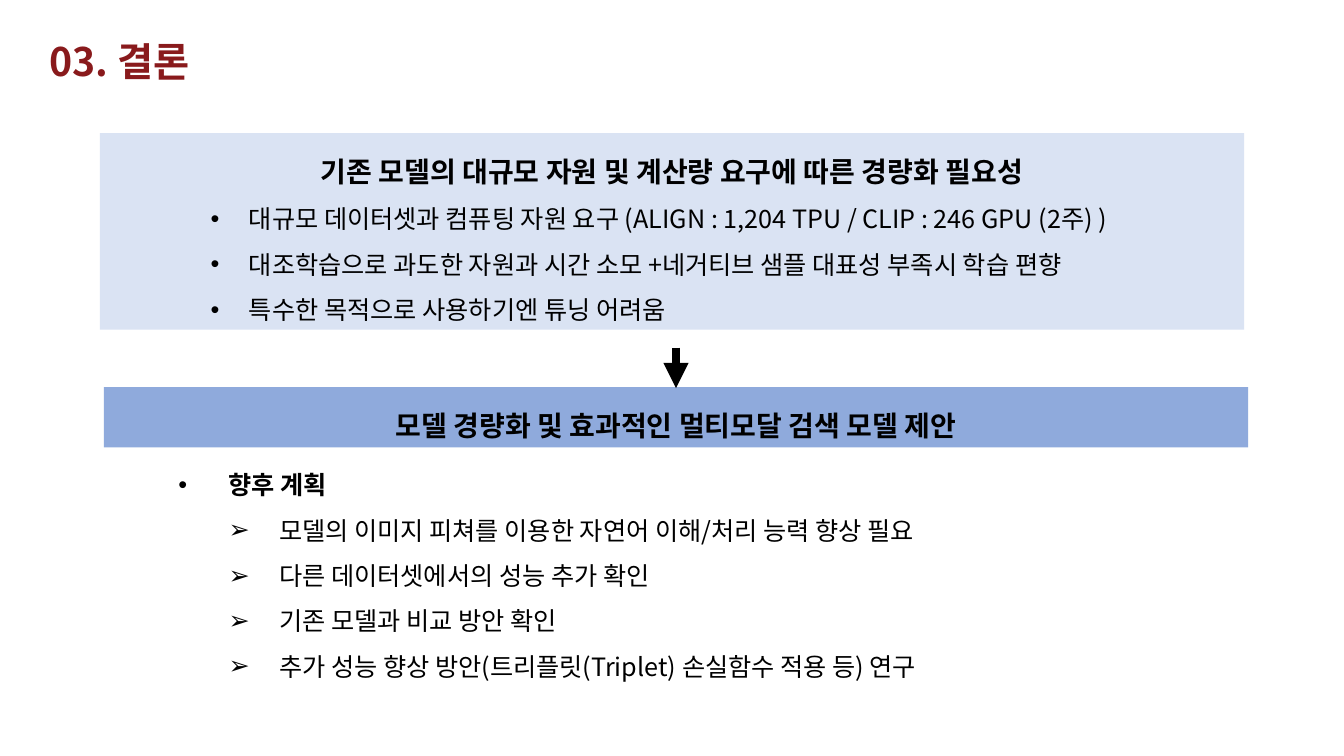
from lxml.etree import SubElement
from pptx import Presentation
from pptx.dml.color import RGBColor
from pptx.enum.shapes import MSO_CONNECTOR, MSO_SHAPE
from pptx.enum.text import MSO_ANCHOR, MSO_AUTO_SIZE, PP_ALIGN
from pptx.oxml.ns import qn
from pptx.util import Inches, Pt

FONT = "Noto Sans CJK KR"
COLORS = {"title": "891A1C", "text": "000000", "need": "DAE3F3", "proposal": "8FAADC"}

TITLE = "03. 결론"
NEED = "기존 모델의 대규모 자원 및 계산량 요구에 따른 경량화 필요성"
NEED_POINTS = [
    "대규모 데이터셋과 컴퓨팅 자원 요구 (ALIGN : 1,204 TPU / CLIP : 246 GPU (2주) )",
    "대조학습으로 과도한 자원과 시간 소모 +네거티브 샘플 대표성 부족시 학습 편향",
    "특수한 목적으로 사용하기엔 튜닝 어려움",
]
PROPOSAL = "모델 경량화 및 효과적인 멀티모달 검색 모델 제안"
PLAN = "향후 계획"
PLAN_POINTS = [
    "모델의 이미지 피쳐를 이용한 자연어 이해/처리 능력 향상 필요",
    "다른 데이터셋에서의 성능 추가 확인",
    "기존 모델과 비교 방안 확인",
    "추가 성능 향상 방안(트리플릿(Triplet) 손실함수 적용 등) 연구",
]

WIDTH, HEIGHT = 13.33, 7.5
BAND_WIDTH = 11.35
NEED_LEFT = (WIDTH - BAND_WIDTH) / 2
PROPOSAL_LEFT = NEED_LEFT + 0.04
PROPOSAL_TOP = 3.84
ARROW_X = PROPOSAL_LEFT + BAND_WIDTH / 2
ARROW_LENGTH = 0.4

prs = Presentation()
prs.slide_width, prs.slide_height = Inches(WIDTH), Inches(HEIGHT)
slide = prs.slides.add_slide(prs.slide_layouts[6])


def rgb(key):
    return RGBColor.from_string(COLORS[key])


def inches(*lengths):
    return [Inches(length) for length in lengths]


def set_up(frame):
    frame.word_wrap = True
    frame.auto_size = MSO_AUTO_SIZE.SHAPE_TO_FIT_TEXT
    frame.vertical_anchor = MSO_ANCHOR.TOP
    return frame


def add_text_box(*box):
    return set_up(slide.shapes.add_textbox(*inches(*box)).text_frame)


def add_band(fill, *box):
    band = slide.shapes.add_shape(MSO_SHAPE.RECTANGLE, *inches(*box))
    band.shadow.inherit = False
    band.fill.solid()
    band.fill.fore_color.rgb = rgb(fill)
    band.line.fill.background()
    return set_up(band.text_frame)


def write(frame, text, size=18, bold=False, color="text", align=PP_ALIGN.LEFT,
          spacing=1.5, bullet=None, level=0, margin=0, hanging=0):
    """Fill the empty first paragraph, or add one after the last."""
    first = frame.paragraphs[0]
    paragraph = frame.add_paragraph() if first.runs else first
    paragraph.alignment = align
    paragraph.line_spacing = spacing
    paragraph.level = level
    if bullet:
        properties = paragraph._p.get_or_add_pPr()
        properties.set("marL", str(Inches(margin)))
        properties.set("indent", str(-Inches(hanging)))
        SubElement(properties, qn("a:buFont")).set("typeface", "Arial")
        SubElement(properties, qn("a:buChar")).set("char", bullet)
    run = paragraph.add_run()
    run.text = text
    run.font.size = Pt(size)
    run.font.bold = bold
    run.font.color.rgb = rgb(color)
    run.font.name = FONT
    SubElement(run._r.get_or_add_rPr(), qn("a:ea")).set("typeface", FONT)


def add_down_arrow(x, top, length):
    arrow = slide.shapes.add_connector(
        MSO_CONNECTOR.STRAIGHT, *inches(x, top, x, top + length))
    arrow.line.color.rgb = rgb("text")
    arrow.line.width = Pt(6)
    SubElement(arrow.line._get_or_add_ln(), qn("a:tailEnd")).set("type", "triangle")
    SubElement(arrow._element.spPr, qn("a:effectLst"))


write(add_text_box(0.39, 0.32, 10.59, 0.57), TITLE,
      size=28, bold=True, color="title", spacing=1.0)

heading = dict(size=20, bold=True, align=PP_ALIGN.CENTER)
proposal = add_band("proposal", PROPOSAL_LEFT, PROPOSAL_TOP, BAND_WIDTH, 0.6)
write(proposal, PROPOSAL, **heading)

need = add_band("need", NEED_LEFT, 1.32, BAND_WIDTH, 1.95)
write(need, NEED, **heading)
for point in NEED_POINTS:
    write(need, point, bullet="•", level=2, margin=1.38, hanging=0.38)

add_down_arrow(ARROW_X, PROPOSAL_TOP + 0.01 - ARROW_LENGTH, ARROW_LENGTH)

plan = add_text_box(1.67, 4.46, 10.1, 2.34)
write(plan, PLAN, bold=True, bullet="•", margin=0.5, hanging=0.5)
for point in PLAN_POINTS:
    write(plan, point, bullet="➢", level=1, margin=1, hanging=0.5)

prs.save("out.pptx")
